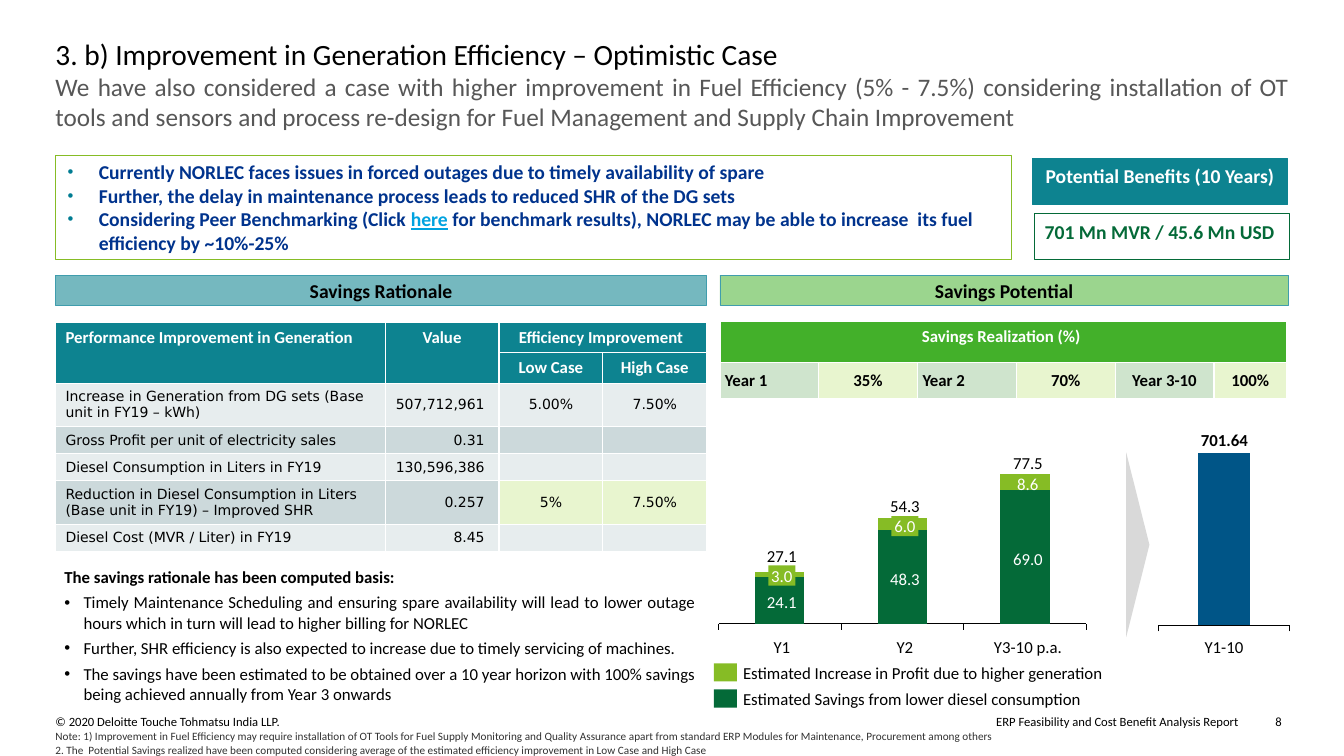
from lxml.etree import SubElement
from pptx import Presentation
from pptx.chart.data import CategoryChartData
from pptx.dml.color import RGBColor
from pptx.enum.chart import XL_CHART_TYPE, XL_TICK_LABEL_POSITION, XL_TICK_MARK
from pptx.enum.shapes import MSO_SHAPE
from pptx.enum.text import MSO_ANCHOR, MSO_AUTO_SIZE, PP_ALIGN
from pptx.oxml import parse_xml
from pptx.oxml.ns import nsdecls, qn
from pptx.util import Pt

PX = 9144
LEFT, CENTER, RIGHT, JUSTIFY = PP_ALIGN.LEFT, PP_ALIGN.CENTER, PP_ALIGN.RIGHT, PP_ALIGN.JUSTIFY
TOP, MIDDLE, BOTTOM = MSO_ANCHOR.TOP, MSO_ANCHOR.MIDDLE, MSO_ANCHOR.BOTTOM
COLORS = {
    "black": "000000", "white": "FFFFFF", "gray": "575757", "note": "313131",
    "teal": "0D8390", "teal line": "409DAD", "bullet": "007C92", "navy": "00338D",
    "link": "00A3E0", "blue": "005587", "forest": "046A38", "lime": "86BC25",
    "green": "43B02A", "arrow": "D9D9D9", "band light": "E7EDEE", "band dark": "CCD9DB",
    "pale lime": "E8F5CF", "pale green": "CFE4CD",
}
RGB = {name: RGBColor.from_string(value) for name, value in COLORS.items()}


def write(frame, text, size=12, color="black", bold=False, align=LEFT, font="Calibri",
          before=0, after=0, bullet=None, indent=0):
    paragraph = frame.add_paragraph() if frame.text else frame.paragraphs[0]
    paragraph.alignment = align
    paragraph.space_before, paragraph.space_after = Pt(before), Pt(after)
    properties = paragraph._p.get_or_add_pPr()
    properties.set("marL", str(indent * PX))
    properties.set("indent", str(-indent * PX))
    if bullet:
        bullet_color = SubElement(properties, qn("a:buClr"))
        SubElement(bullet_color, qn("a:srgbClr"), val=COLORS[bullet])
        SubElement(properties, qn("a:buSzPct"), val="85000" if bullet == "bullet" else "100000")
        SubElement(properties, qn("a:buFont"), typeface="Arial")
        SubElement(properties, qn("a:buChar"), char="•")
    else:
        SubElement(properties, qn("a:buNone"))
    for index, piece in enumerate(text.split("|")):
        run = paragraph.add_run()
        run.text = piece
        run.font.size, run.font.name, run.font.bold = Pt(size), font, bold
        run.font.underline = index % 2 == 1
        run.font.color.rgb = RGB["link" if index % 2 else color]


def box(position, fill=None, line=None, line_width=0.75, kind=MSO_SHAPE.RECTANGLE,
        margins=(0, 0, 0, 0), anchor=TOP, wrap=True):
    area = [value * PX for value in position]
    if fill:
        shape = slide.shapes.add_shape(kind, *area)
        shape.shadow.inherit = False
        shape.fill.solid()
        shape.fill.fore_color.rgb = RGB[fill]
        if line:
            shape.line.color.rgb = RGB[line]
            shape.line.width = Pt(line_width)
        else:
            shape.line.fill.background()
    else:
        shape = slide.shapes.add_textbox(*area)
    frame = shape.text_frame
    frame.word_wrap, frame.vertical_anchor = wrap, anchor
    frame.margin_left, frame.margin_top, frame.margin_right, frame.margin_bottom = [
        margin * PX for margin in margins]
    return shape


presentation = Presentation()
presentation.slide_width, presentation.slide_height = 1333 * PX, 750 * PX
slide = presentation.slides.add_slide(presentation.slide_layouts[1])

title, subtitle = slide.shapes.title, slide.placeholders[1]
for placeholder, top, height, anchor in [(title, 35, 37, MIDDLE), (subtitle, 71, 83, TOP)]:
    placeholder.left, placeholder.top = 55 * PX, top * PX
    placeholder.width, placeholder.height = 1224 * PX, height * PX
    frame = placeholder.text_frame
    frame.margin_left = frame.margin_top = frame.margin_right = frame.margin_bottom = 0
    frame.auto_size, frame.word_wrap, frame.vertical_anchor = MSO_AUTO_SIZE.NONE, True, anchor
write(title.text_frame, "3. b) Improvement in Generation Efficiency – Optimistic Case", size=21)
write(subtitle.text_frame, "We have also considered a case with higher improvement in Fuel Efficiency (5% - 7.5%) considering installation of OT tools and sensors and process re-design for Fuel Management and Supply Chain Improvement",
      size=18, color="gray", align=JUSTIFY, after=10)

benefits_label = box((1024, 157, 253, 46), "teal", "teal", margins=(6, 6, 6, 6))
write(benefits_label.text_frame, "Potential Benefits (10 Years)", size=14, color="white", bold=True, align=CENTER)
benefits_value = box((1026, 212, 253, 46), "white", "forest", margins=(0, 6, 0, 6))
write(benefits_value.text_frame, "701 Mn MVR / 45.6 Mn USD ", size=14, color="forest", bold=True, align=CENTER)

issues = box((55, 154, 948, 103), "white", "lime", 0.5, margins=(12, 4, 4, 4), anchor=MIDDLE)
for issue in [
    "Currently NORLEC faces issues in forced outages due to timely availability of spare",
    "Further, the delay in maintenance process leads to reduced SHR of the DG sets",
    "Considering Peer Benchmarking (Click |here| for benchmark results), NORLEC may be able to increase  its fuel efficiency by ~10%-25%",
]:
    write(issues.text_frame, issue, size=14, color="navy", bold=True, bullet="bullet", indent=31)

for heading, left, width, fill, opacity in [
    ("Savings Rationale", 55, 646, "teal", 57000),
    ("Savings Potential", 714, 564, "green", 53000),
]:
    banner = box((left, 273, width, 30), fill, "teal line", 0.5, anchor=MIDDLE)
    fill_color = banner._element.spPr.find(qn("a:solidFill")).find(qn("a:srgbClr"))
    SubElement(fill_color, qn("a:alpha"), val=str(opacity))
    write(banner.text_frame, heading, size=14, bold=True, align=CENTER)

for series_values, area, layout, maximum in [
    ([("Savings", (35, 70, 100), "forest"), ("Profit", (4, 9, 12), "lime")],
     (705, 462, 384, 167), (0.02, 0.05, 0.95, 0.89), 112),
    ([("Total", (100,), "blue")], (1140, 440, 148, 190), (0.06, 0.05, 0.88, 0.9), 100),
]:
    data = CategoryChartData()
    data.categories = [str(number + 1) for number in range(len(series_values[0][1]))]
    for name, values, color in series_values:
        data.add_series(name, values)
    chart = slide.shapes.add_chart(
        XL_CHART_TYPE.COLUMN_STACKED, *[value * PX for value in area], data).chart
    chart.has_legend = chart.has_title = False
    chart.font.size, chart.font.name, chart.font.color.rgb = Pt(10), "Calibri", RGB["black"]
    plot = chart.plots[0]
    plot.gap_width, plot.overlap, plot.vary_by_categories = 150, 100, False
    for series, (name, values, color) in zip(plot.series, series_values):
        series.format.fill.solid()
        series.format.fill.fore_color.rgb = RGB[color]
    value_axis, category_axis = chart.value_axis, chart.category_axis
    value_axis.minimum_scale, value_axis.maximum_scale = 0, maximum
    value_axis.has_major_gridlines = value_axis.visible = False
    category_axis.tick_label_position = XL_TICK_LABEL_POSITION.NONE
    category_axis.major_tick_mark = XL_TICK_MARK.OUTSIDE
    category_axis.format.line.color.rgb = RGB["black"]
    category_axis.format.line.width = Pt(0.75)
    plot_area = chart.element.find(".//" + qn("c:plotArea"))
    for old_layout in plot_area.findall(qn("c:layout")):
        plot_area.remove(old_layout)
    sizes = "".join(f'<c:{tag} val="{value}"/>' for tag, value in zip("xywh", layout))
    plot_area.insert(0, parse_xml(
        f'<c:layout {nsdecls("c")}><c:manualLayout><c:layoutTarget val="inner"/>'
        f'<c:xMode val="edge"/><c:yMode val="edge"/>{sizes}</c:manualLayout></c:layout>'))

bars = [
    ("Y1", ("27.1", 541), ("3.0", 561, "lime"), ("24.1", 587)),
    ("Y2", ("54.3", 492), ("6.0", 512, "lime"), ("48.3", 564)),
    ("Y3-10 p.a.", ("77.5", 449), ("8.6", 470, None), ("69.0", 544)),
]
labels = [("Y1-10", 1214, 632, 40, "black", None, False),
          ("701.64", 1214, 426, 53, "black", None, True)]
for index, (category, total, profit, savings) in enumerate(bars):
    middle = 775 + 122 * index
    labels += [(category, middle, 632, 69, "black", None, False),
               (total[0], middle, total[1], 35, "black", None, False),
               (profit[0], middle, profit[1], 27, "white", profit[2], False),
               (savings[0], middle, savings[1], 35, "white", None, False)]
for text, middle, top, width, color, fill, bold in labels:
    label = box((middle - width // 2, top, width, 20), fill, anchor=MIDDLE, wrap=False)
    write(label.text_frame, text, color=color, bold=bold, align=CENTER)

for text, top, color in [
    ("Estimated Increase in Profit due to higher generation", 657, "lime"),
    ("Estimated Savings from lower diesel consumption", 683, "forest"),
]:
    box((708, top + 1, 23, 18), color)
    write(box((737, top, 357, 20), anchor=MIDDLE, wrap=False).text_frame, text)

arrow = box((1037, 529, 183, 23), "arrow", kind=MSO_SHAPE.ISOSCELES_TRIANGLE)
arrow.rotation = 90

tables = []
for left, top, columns, rows in [
    (55, 320, (327, 113, 103, 103), (30, 30, 43, 26, 26, 43, 26)),
    (714, 319, (98, 98, 98, 98, 98, 72), (41, 35)),
]:
    table = slide.shapes.add_table(len(rows), len(columns), left * PX, top * PX,
                                   sum(columns) * PX, sum(rows) * PX).table
    for column, width in zip(table.columns, columns):
        column.width = width * PX
    for row, height in zip(table.rows, rows):
        row.height = height * PX
    tables.append(table)
rationale, realization = tables

for first, last in [((0, 0), (1, 0)), ((0, 1), (1, 1)), ((0, 2), (0, 3))]:
    rationale.cell(*first).merge(rationale.cell(*last))
realization.cell(0, 0).merge(realization.cell(0, 5))

for row, texts in enumerate([
    ("Performance Improvement in Generation", "Value", "Efficiency Improvement ", ""),
    ("", "", "Low Case", "High Case"),
    ("Increase in Generation from DG sets (Base unit in FY19 – kWh)", "507,712,961 ", "5.00%", "7.50%"),
    ("Gross Profit per unit of electricity sales", "0.31 ", "", ""),
    ("Diesel Consumption in Liters in FY19", "130,596,386 ", "", ""),
    ("Reduction in Diesel Consumption in Liters (Base unit in FY19) – Improved SHR", "0.257 ", "5%", "7.50%"),
    ("Diesel Cost (MVR / Liter) in FY19", "8.45 ", "", ""),
]):
    for column, text in enumerate(texts):
        cell = rationale.cell(row, column)
        cell.fill.solid()
        if row < 2:
            fill = "teal"
            style = {"color": "white", "bold": True, "align": CENTER if column else LEFT}
        else:
            fill = "pale lime" if row == 5 and column > 1 else ("band light", "band dark")[row % 2]
            style = {"size": 10, "font": "DejaVu Sans", "align": (LEFT, RIGHT, CENTER, CENTER)[column]}
            cell.vertical_anchor = MIDDLE
        cell.fill.fore_color.rgb = RGB[fill]
        if text:
            write(cell.text_frame, text, **style)

header = realization.cell(0, 0)
header.fill.solid()
header.fill.fore_color.rgb = RGB["green"]
write(header.text_frame, "Savings Realization (%) ", color="white", bold=True, align=CENTER)
for column, text in enumerate(["Year 1", "35%", "Year 2", "70%", "Year 3-10", "100%"]):
    cell = realization.cell(1, column)
    cell.fill.solid()
    cell.fill.fore_color.rgb = RGB["pale lime" if column % 2 else "pale green"]
    cell.vertical_anchor = MIDDLE
    cell.margin_left = cell.margin_right = 5 * PX
    write(cell.text_frame, text, bold=True, align=LEFT if column in (0, 2) else CENTER)

for table in tables:
    for cell in table.iter_cells():
        if not cell.text_frame.text:
            SubElement(cell.text_frame.paragraphs[0]._p, qn("a:endParaRPr"), sz="1000")

basis = box((54, 557, 646, 152), margins=(10, 5, 10, 5)).text_frame
write(basis, "The savings rationale has been computed basis:", bold=True, align=JUSTIFY)
for reason in [
    "Timely Maintenance Scheduling and ensuring spare availability will lead to lower outage hours which in turn will lead to higher billing for NORLEC",
    "Further, SHR efficiency is also expected to increase due to timely servicing of machines.",
    "The savings have been estimated to be obtained over a 10 year horizon with 100% savings being achieved annually from Year 3 onwards",
]:
    write(basis, reason, align=JUSTIFY, before=4, bullet="black", indent=19)

for text, left, width, align in [
    ("© 2020 Deloitte Touche Tohmatsu India LLP.", 55, 586, LEFT),
    ("ERP Feasibility and Cost Benefit Analysis Report", 693, 535, RIGHT),
    ("8", 1265, 15, LEFT),
]:
    write(box((left, 708, width, 15)).text_frame, text, size=9, align=align)

notes = box((55, 724, 1216, 26)).text_frame
for note in [
    "Note: 1) Improvement in Fuel Efficiency may require installation of OT Tools for Fuel Supply Monitoring and Quality Assurance apart from standard ERP Modules for Maintenance, Procurement among others",
    "2. The  Potential Savings realized have been computed considering average of the estimated efficiency improvement in Low Case and High Case",
]:
    write(notes, note, size=8, color="note")

presentation.save("out.pptx")
